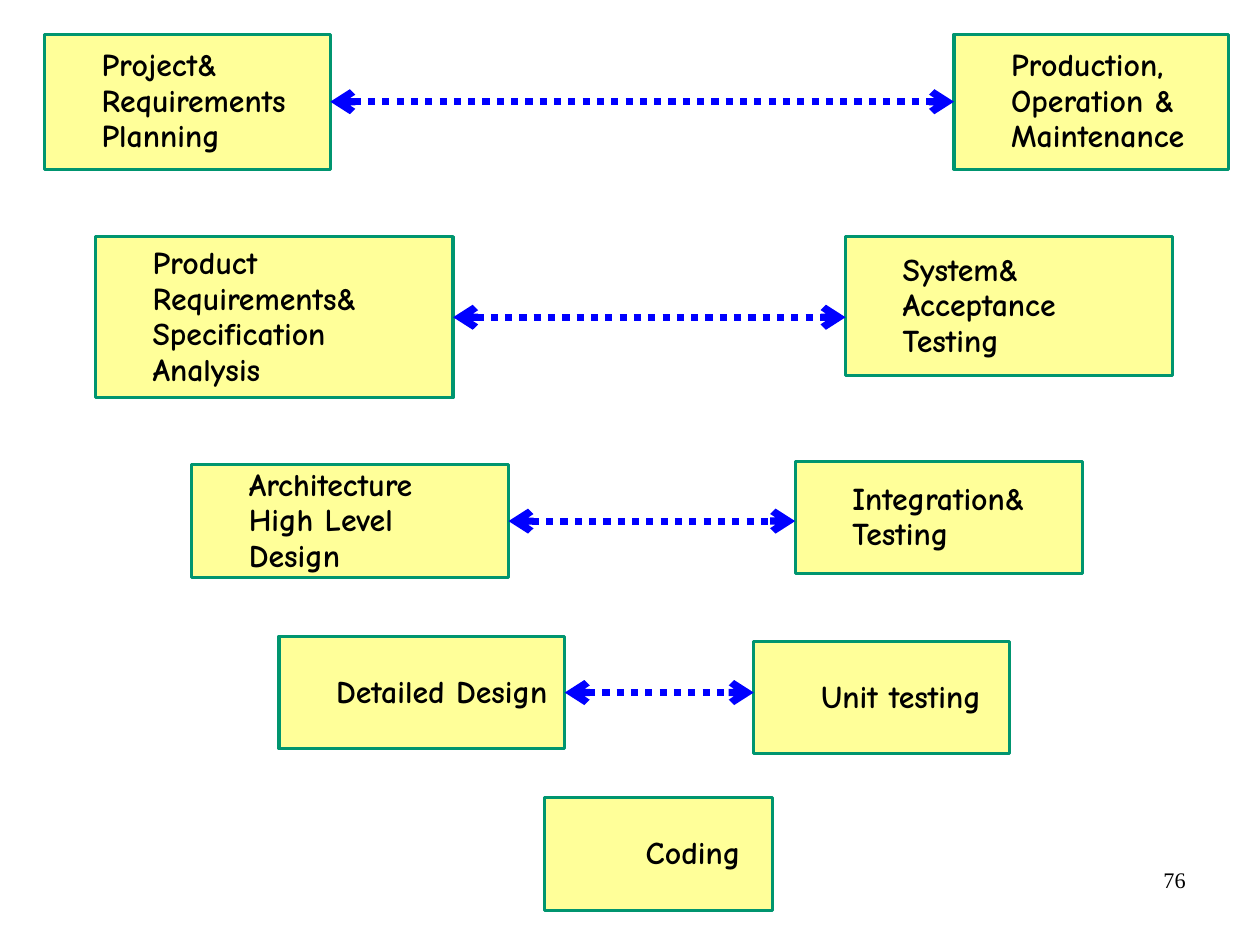
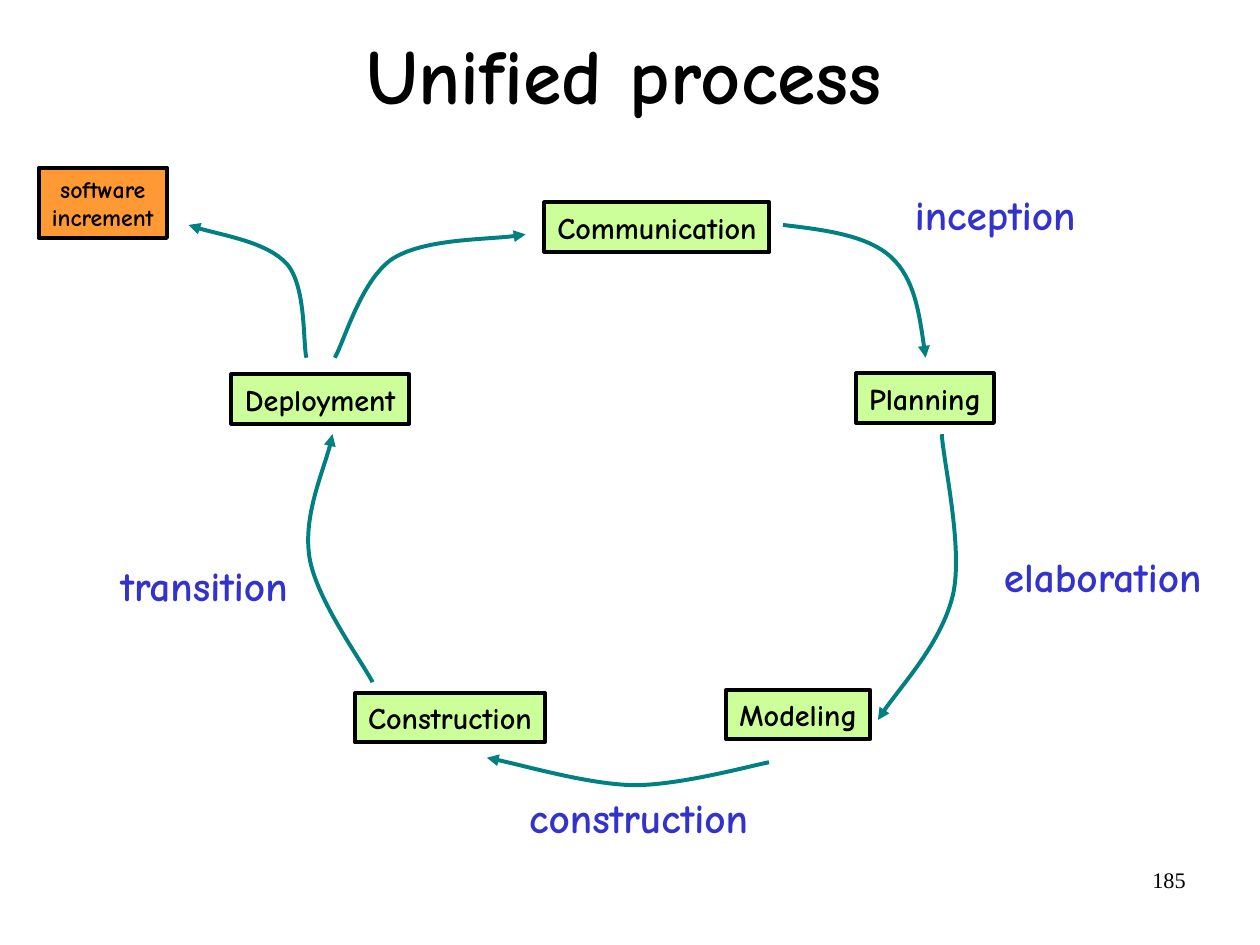
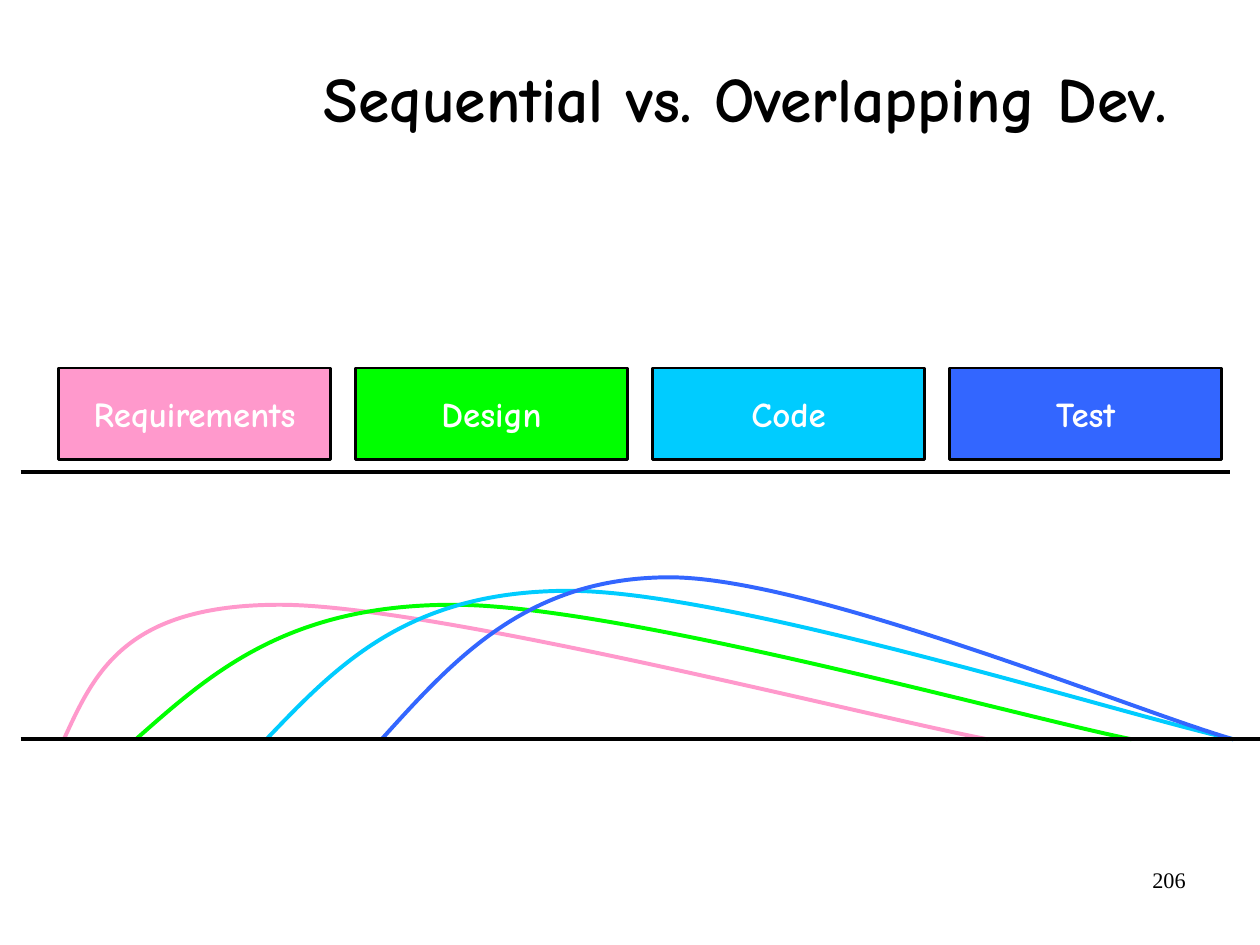
from lxml import etree
from pptx import Presentation
from pptx.dml.color import RGBColor
from pptx.enum.dml import MSO_LINE
from pptx.enum.shapes import MSO_CONNECTOR, MSO_SHAPE
from pptx.enum.text import MSO_ANCHOR, PP_ALIGN
from pptx.oxml.ns import qn
from pptx.util import Cm, Pt

SLIDE_WIDTH, SLIDE_HEIGHT = 28, 21
COLORS = {
    "black": "000000", "white": "FFFFFF",
    "yellow": "FFFF99", "green": "00956F", "arrow": "0000FF",
    "lime": "CCFF99", "orange": "FF9933", "teal": "008080", "phase": "3333CC",
    "pink": "FF99CC", "design": "00FF00", "code": "00CCFF", "test": "3366FF",
}
FONT, NUMBER_FONT = "Comic Neue", "Times New Roman"
NARROW, WIDE = (0.25, 0.13), (0.28, 0.15)  # side and top insets

# V-model: (left, top, width, height), text inset, lines
V_LEVELS = [
    (((0.99, 0.76, 6.35, 3), 1.27, ["Project&", "Requirements", "Planning"]),
     ((21.2, 0.76, 6.1, 3), 1.27, ["Production,", "Operation &", "Maintenance"])),
    (((2.12, 5.26, 7.95, 3.58), 1.27,
      ["Product", "Requirements&", "Specification", "Analysis"]),
     ((18.79, 5.25, 7.27, 3.1), 1.27, ["System&", "Acceptance", "Testing"])),
    (((4.26, 10.33, 7.04, 2.5), 1.27, ["Architecture", "High Level", "Design"]),
     ((17.67, 10.25, 6.38, 2.5), 1.27, ["Integration&", "Testing"])),
    (((6.2, 14.14, 6.35, 2.5), 1.27, ["Detailed Design"]),
     ((16.75, 14.25, 5.68, 2.5), 1.5, ["Unit testing"])),
]
V_BOTTOM = ((12.1, 17.73, 5.06, 2.5), 2.25, ["Coding"])

# Unified process: boxes, phase names, curves
ACTIVITIES = [
    ((12.1, 4.5, 5, 1.1), ["Communication"], 19, "lime"),
    ((19.03, 8.3, 3.06, 1.1), ["Planning"], 19, "lime"),
    ((16.14, 15.33, 3.2, 1.1), ["Modeling"], 19, "lime"),
    ((7.89, 15.4, 4.22, 1.1), ["Construction"], 19, "lime"),
    ((5.14, 8.32, 3.95, 1.1), ["Deployment"], 19, "lime"),
    ((0.86, 3.73, 2.85, 1.56), ["software", "increment"], 15, "orange"),
]
PHASES = [
    ((20.05, 4.07, 4.14, 1.37), "inception"),
    ((22.03, 12.11, 4.98, 1.37), "elaboration"),
    ((2.4, 12.32, 4.32, 1.37), "transition"),
    ((11.48, 17.48, 5.44, 1.37), "construction"),
]
# Start point, then two control points and an end point per curve
FLOWS = [
    [(8.28, 15.16), (8.05, 14.71), (7.04, 13.34), (6.88, 12.4),
     (6.73, 11.48), (7.29, 10.24), (7.39, 9.65)],
    [(20.93, 9.65), (20.96, 10.24), (21.41, 12.17), (21.18, 13.21),
     (20.93, 14.27), (19.86, 15.42), (19.51, 16)],
    [(17.4, 5), (18.34, 5.11), (19.28, 5.23), (19.81, 5.72),
     (20.32, 6.2), (20.45, 7.09), (20.57, 7.95)],
    [(17.09, 16.94), (16.59, 17.04), (15.11, 17.45), (14.07, 17.45),
     (13.06, 17.42), (11.51, 16.97), (10.82, 16.84)],
    [(7.44, 7.95), (7.65, 7.59), (8.03, 6.2), (8.74, 5.74),
     (9.45, 5.31), (11.07, 5.33), (11.68, 5.21)],
    [(6.81, 7.95), (6.73, 7.62), (6.81, 6.38), (6.38, 5.87),
     (5.94, 5.38), (4.65, 5.18), (4.19, 5)],
]

# Development stages: name, colour, effort curve
# (start x, rise x, peak x, peak y, fall point, end x)
STAGES = [
    ("Requirements", "pink", (1.42, 2.79, 6.22, 13.44, (19.33, 15.93), 21.95)),
    ("Design", "design", (3.02, 6.4, 10.08, 13.44, (22.66, 15.93), 25.15)),
    ("Code", "code", (5.92, 9.07, 12.65, 13.13, (24.94, 15.88), 27.41)),
    ("Test", "test", (8.48, 11.73, 14.88, 12.83, (25.27, 15.82), 27.41)),
]
EFFORT_BASE, SEQUENCE_BASE, BASE_LEFT = 16.43, 10.49, 0.46
STAGE_LEFT, STAGE_STEP, STAGE_TOP = 1.3, 6.6, 8.18
STAGE_WIDTH, STAGE_HEIGHT = 6.05, 2.03


def color(name):
    return RGBColor.from_string(COLORS[name])


def write(shape, lines, size, ink="black", align=PP_ALIGN.LEFT, spacing=1,
          insets=NARROW, text_left=None, wrap=True, anchor=MSO_ANCHOR.MIDDLE,
          font=FONT, bold=True):
    frame = shape.text_frame
    frame.word_wrap = wrap
    frame.vertical_anchor = anchor
    side, top = insets
    frame.margin_left = Cm(side if text_left is None else text_left)
    frame.margin_right = Cm(side)
    frame.margin_top = frame.margin_bottom = Cm(top)
    for index, line in enumerate(lines):
        para = frame.add_paragraph() if index else frame.paragraphs[0]
        para.alignment = align
        para.line_spacing = spacing
        span = para.add_run()
        span.text = line
        span.font.name = font
        span.font.size = Pt(size)
        span.font.bold = bold
        span.font.color.rgb = color(ink)


def add_text(page, place, lines, size, **style):
    box = page.shapes.add_textbox(*map(Cm, place))
    write(box, lines, size, **style)


def set_line(shape, ink, width):
    shape.line.color.rgb = color(ink)
    shape.line.width = Pt(width)


def add_box(page, place, lines, size, fill, edge, width, **style):
    box = page.shapes.add_shape(MSO_SHAPE.RECTANGLE, *map(Cm, place))
    box.shadow.inherit = False
    box.fill.solid()
    box.fill.fore_color.rgb = color(fill)
    set_line(box, edge, width)
    write(box, lines, size, **style)
    return box


def add_heads(shape, **ends):
    """Arrowheads by line end: headEnd comes before tailEnd."""
    line = shape.line._get_or_add_ln()
    for end, kind in ends.items():
        etree.SubElement(line, qn("a:" + end), type=kind)


def add_line(page, start, end, ink, width):
    line = page.shapes.add_connector(MSO_CONNECTOR.STRAIGHT, *start, *end)
    set_line(line, ink, width)
    etree.SubElement(line._element.spPr, qn("a:effectLst"))
    return line


def add_curve(page, points, ink, width):
    """Outline whose points, three at a time, become Bézier curves."""
    start, *rest = [(Cm(x), Cm(y)) for x, y in points]
    builder = page.shapes.build_freeform(*start)
    builder.add_line_segments(rest, close=False)
    curve = builder.convert_to_shape()
    segments = list(curve._element.iter(qn("a:lnTo")))
    for first in range(0, len(segments), 3):
        bezier = etree.Element(qn("a:cubicBezTo"))
        segments[first].addprevious(bezier)
        for segment in segments[first:first + 3]:
            bezier.append(segment[0])
            segment.getparent().remove(segment)
    curve.shadow.inherit = False
    curve.fill.background()
    set_line(curve, ink, width)
    return curve


def add_page(deck, number):
    page = deck.slides.add_slide(deck.slide_layouts[6])
    add_text(page, (20.07, 19.13, 6.53, 1.45), [number], 14, align=PP_ALIGN.RIGHT,
             anchor=MSO_ANCHOR.TOP, font=NUMBER_FONT, bold=False)
    return page


def add_title(page, left, top, height, text, size, align):
    add_text(page, (left, top, 23.88, height), [text], size, align=align,
             spacing=0.92, insets=(0, 0))


def build_v_model(deck):
    page = add_page(deck, "76")

    def add_step(place, text_left, lines):
        return add_box(page, place, lines, 20, "yellow", "green", 2,
                       spacing=0.93, text_left=text_left)

    pairs = [(add_step(*left), add_step(*right)) for left, right in V_LEVELS]
    add_step(*V_BOTTOM)

    # Level arrows, joined on the right where the middles agree
    for left, right in pairs:
        y = left.top + left.height // 2
        arrow = add_line(page, (left.left + left.width, y), (right.left, y), "arrow", 4.5)
        arrow.begin_connect(left, 3)
        if abs(right.top + right.height // 2 - y) < Cm(0.05):
            arrow.end_connect(right, 1)
        arrow.line.dash_style = MSO_LINE.ROUND_DOT
        add_heads(arrow, headEnd="arrow", tailEnd="arrow")


def build_unified_process(deck):
    page = add_page(deck, "185")
    add_title(page, 1.93, 0, 3.48, "Unified process", 49, PP_ALIGN.CENTER)
    for place, lines, size, fill in ACTIVITIES:
        add_box(page, place, lines, size, fill, "black", 2.5,
                align=PP_ALIGN.CENTER, insets=WIDE, wrap=False)
    for points in FLOWS:
        add_heads(add_curve(page, points, "teal", 2.5), tailEnd="triangle")
    for place, name in PHASES:
        add_text(page, place, [name], 26, ink="phase", insets=WIDE, wrap=False)


def build_overlap(deck):
    page = add_page(deck, "206")
    add_title(page, 2.06, 0.36, 3.81, "Sequential vs. Overlapping Dev.", 40,
              PP_ALIGN.RIGHT)

    # Overlapping effort curves, smooth at the peak
    for _, ink, (start, rise, peak, top, fall, end) in STAGES:
        points = [(start, EFFORT_BASE),
                  ((start + rise) / 2, (EFFORT_BASE + top) / 2),
                  (rise, top), (peak, top), (2 * peak - rise, top),
                  fall, (end, EFFORT_BASE)]
        add_curve(page, points, ink, 2.5)
    for y, right in [(EFFORT_BASE, SLIDE_WIDTH), (SEQUENCE_BASE, 27.33)]:
        add_line(page, (Cm(BASE_LEFT), Cm(y)), (Cm(right), Cm(y)), "black", 2.5)

    # Sequential stages
    for index, (name, fill, _) in enumerate(STAGES):
        place = (STAGE_LEFT + index * STAGE_STEP, STAGE_TOP, STAGE_WIDTH, STAGE_HEIGHT)
        add_box(page, place, [name], 22, fill, "black", 1.5, ink="white",
                align=PP_ALIGN.CENTER, insets=WIDE, wrap=False)


def main():
    deck = Presentation()
    deck.slide_width, deck.slide_height = Cm(SLIDE_WIDTH), Cm(SLIDE_HEIGHT)
    build_v_model(deck)
    build_unified_process(deck)
    build_overlap(deck)
    deck.save("out.pptx")


if __name__ == "__main__":
    main()
